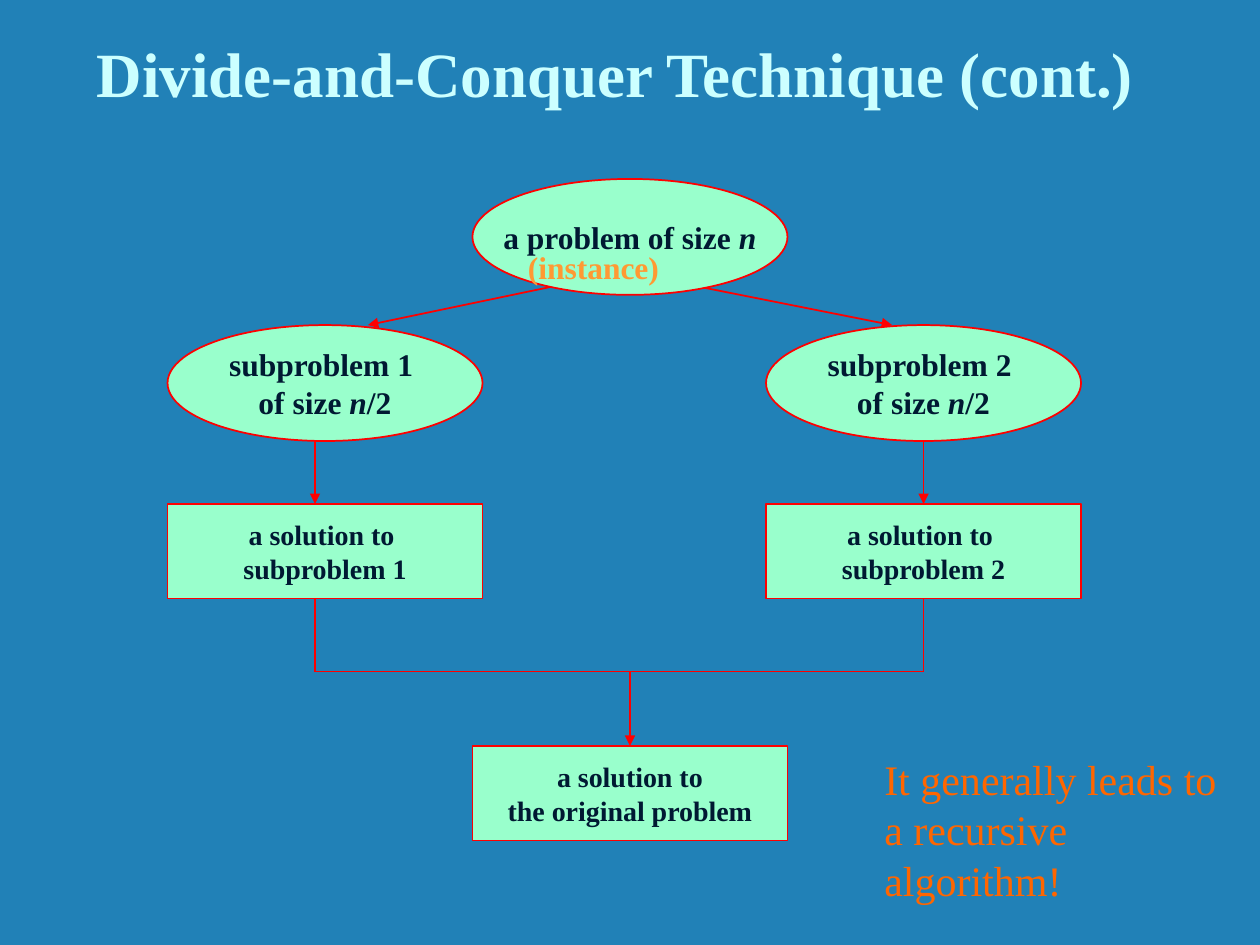
from dataclasses import dataclass

import pptx
import pptx.dml.color
import pptx.enum.shapes
import pptx.enum.text
import pptx.oxml
import pptx.oxml.ns
import pptx.util

Inches = pptx.util.Inches
Pt = pptx.util.Pt
SHAPE = pptx.enum.shapes.MSO_SHAPE
ALIGN = pptx.enum.text.PP_ALIGN
ANCHOR = pptx.enum.text.MSO_ANCHOR

FONT = "Times New Roman"
COLORS = {
    "background": "2181B7",
    "title": "CCFFFF",
    "node": "99FFCC",
    "line": "FF0000",
    "ink": "001932",
    "instance": "FF9933",
    "remark": "FF6600",
}
NODE_WIDTH = 2.5
LEFT, MIDDLE, RIGHT = 1.33, 3.75, 6.08
LEFT_AXIS, MIDDLE_AXIS, RIGHT_AXIS = 2.5, 5, 7.33
MERGE_Y = 5.33


@dataclass
class Style:
    size: float
    color: str
    bold: bool = True
    align: ALIGN = ALIGN.CENTER


@dataclass
class Node:
    """A step of the diagram; each line is a list of runs, and "n" is italic."""
    left: float
    top: float
    lines: list[list[str]]
    is_problem: bool


@dataclass
class Link:
    start: tuple[float, float]
    end: tuple[float, float]
    has_arrow: bool = True


@dataclass
class Label:
    box: tuple[float, float, float, float]
    text: str
    style: Style
    anchor: ANCHOR = ANCHOR.TOP


def rgb(name: str) -> pptx.dml.color.RGBColor:
    return pptx.dml.color.RGBColor.from_string(COLORS[name])


def write_lines(frame, lines: list[list[str]], style: Style) -> None:
    for index, pieces in enumerate(lines):
        paragraph = frame.add_paragraph() if index else frame.paragraphs[0]
        paragraph.alignment = style.align
        for piece in pieces:
            run = paragraph.add_run()
            run.text = piece
            run.font.name = FONT
            run.font.size = Pt(style.size)
            run.font.bold = style.bold
            run.font.italic = piece == "n"
            run.font.color.rgb = rgb(style.color)


def draw_node(slide, node: Node) -> None:
    preset, height, size = (
        (SHAPE.OVAL, 0.92, 18) if node.is_problem else (SHAPE.RECTANGLE, 0.75, 16)
    )
    shape = slide.shapes.add_shape(
        preset, Inches(node.left), Inches(node.top), Inches(NODE_WIDTH), Inches(height)
    )
    shape.shadow.inherit = False
    shape.fill.solid()
    shape.fill.fore_color.rgb = rgb("node")
    shape.line.color.rgb = rgb("line")
    shape.line.width = Pt(1)
    shape.text_frame.word_wrap = False
    shape.text_frame.vertical_anchor = ANCHOR.MIDDLE
    write_lines(shape.text_frame, node.lines, Style(size, "ink"))


def draw_link(slide, link: Link) -> None:
    connector = slide.shapes.add_connector(
        pptx.enum.shapes.MSO_CONNECTOR.STRAIGHT,
        *(Inches(value) for value in link.start + link.end),
    )
    connector.line.color.rgb = rgb("line")
    connector.line.width = Pt(1)
    if link.has_arrow:
        outline = connector.line._get_or_add_ln()
        arrowhead = pptx.oxml.ns.qn("a:tailEnd")
        outline.append(outline.makeelement(arrowhead, {"type": "triangle"}))
    properties = connector._element.spPr
    properties.append(properties.makeelement(pptx.oxml.ns.qn("a:effectLst"), {}))


def draw_label(slide, label: Label) -> None:
    box = slide.shapes.add_textbox(*(Inches(value) for value in label.box))
    box.text_frame.word_wrap = True
    box.text_frame.vertical_anchor = label.anchor
    write_lines(box.text_frame, [[label.text]], label.style)


def main() -> None:
    presentation = pptx.Presentation()
    presentation.slide_width = Inches(10)
    presentation.slide_height = Inches(7.5)
    slide = presentation.slides.add_slide(presentation.slide_layouts[6])
    slide.background.fill.solid()
    slide.background.fill.fore_color.rgb = rgb("background")

    draw_label(slide, Label(
        (0.67, 0.17, 9, 0.75), "Divide-and-Conquer Technique (cont.)",
        Style(36, "title", align=ALIGN.LEFT), ANCHOR.BOTTOM,
    ))

    # Divide: the links leave from under the whole problem.
    draw_link(slide, Link((4.5, 2.25), (2.92, 2.58)))
    draw_link(slide, Link((5.42, 2.25), (7.08, 2.58)))
    draw_node(slide, Node(MIDDLE, 1.42, [["a problem of size ", "n"]], True))

    # Conquer: each subproblem gets its own solution.
    branches = ((1, LEFT, LEFT_AXIS), (2, RIGHT, RIGHT_AXIS))
    for number, left, axis in branches:
        problem = [[f"subproblem {number} "], ["of size ", "n", "/2"]]
        solution = [["a solution to "], [f"subproblem {number}"]]
        draw_node(slide, Node(left, 2.58, problem, True))
        draw_node(slide, Node(left, 4, solution, False))
        draw_link(slide, Link((axis, 3.5), (axis, 4)))
        draw_link(slide, Link((axis, 4.75), (axis, MERGE_Y), has_arrow=False))

    # Combine: both solutions join into one.
    draw_link(slide, Link((LEFT_AXIS, MERGE_Y), (RIGHT_AXIS, MERGE_Y), has_arrow=False))
    draw_link(slide, Link((MIDDLE_AXIS, MERGE_Y), (MIDDLE_AXIS, 5.92)))
    draw_node(slide, Node(
        MIDDLE, 5.92, [["a solution to"], ["the original problem"]], False
    ))

    draw_label(slide, Label(
        (3.92, 1.92, 1.58, 0.4), "(instance)", Style(18, "instance")
    ))
    draw_label(slide, Label(
        (6.92, 5.93, 3, 1.3), "It generally leads to a recursive algorithm!",
        Style(24, "remark", bold=False, align=ALIGN.LEFT),
    ))
    presentation.save("out.pptx")


if __name__ == "__main__":
    main()
